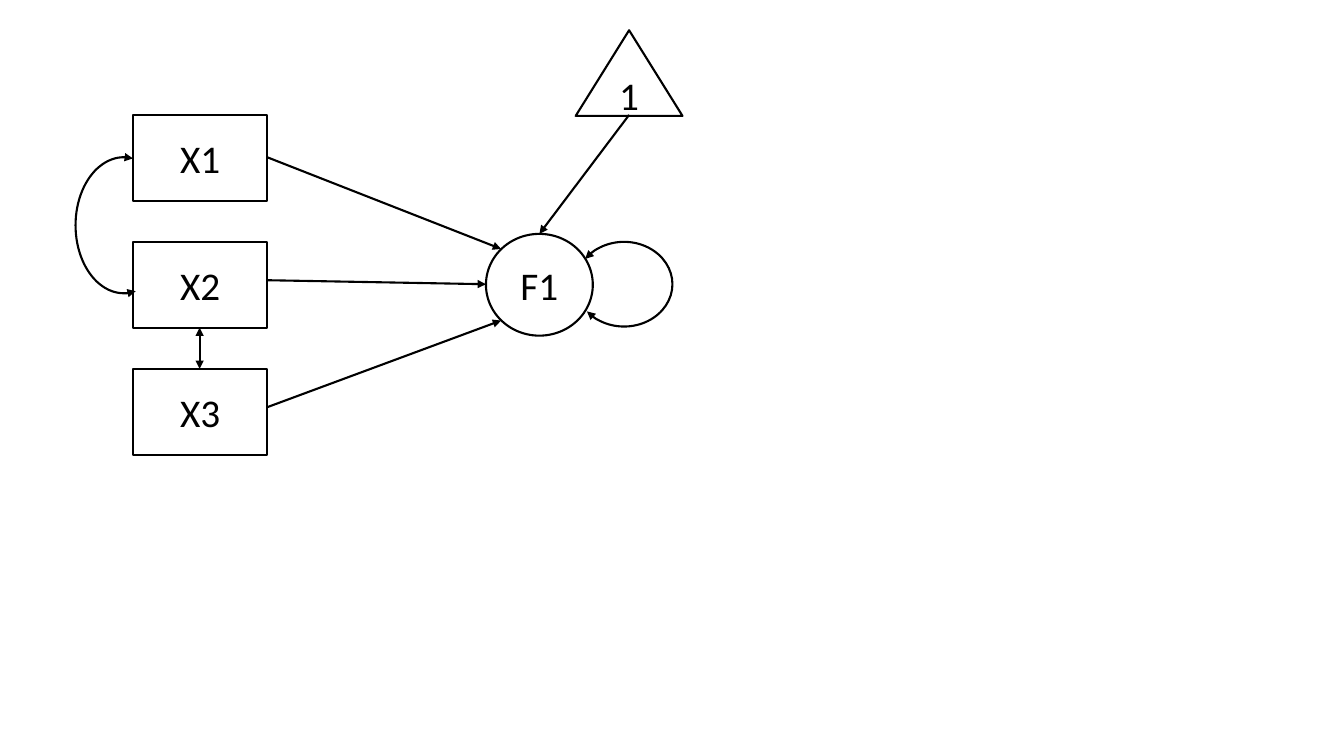
"""Draw a path diagram with three observed variables, one factor and a constant."""
from dataclasses import dataclass

from pptx import Presentation
from pptx.dml.color import RGBColor
from pptx.enum.shapes import MSO_CONNECTOR, MSO_SHAPE as Preset
from pptx.enum.text import MSO_ANCHOR, PP_ALIGN
from pptx.oxml.ns import qn
from pptx.oxml.xmlchemy import OxmlElement
from pptx.shapes.autoshape import Shape
from pptx.shapes.base import BaseShape
from pptx.slide import Slide
from pptx.util import Inches, Pt

BLACK = RGBColor(0, 0, 0)
WHITE = RGBColor(255, 255, 255)
ADJUSTMENT_PER_DEGREE = 0.6


@dataclass(frozen=True)
class Node:
    label: str
    preset: Preset
    left: float
    top: float
    width: float
    height: float


@dataclass(frozen=True)
class Arrow:
    start: tuple[float, float]
    end: tuple[float, float]
    double: bool = False


@dataclass(frozen=True)
class Loop:
    left: float
    top: float
    width: float
    height: float
    start_angle: float
    end_angle: float
    mirrored: bool = False


OBSERVED = [
    Node(f"X{number + 1}", Preset.RECTANGLE, 1.32, 1.14 + 1.26 * number, 1.33, 0.85)
    for number in range(3)
]
FACTOR = Node("F1", Preset.OVAL, 4.82, 2.32, 1.06, 1.01)
CONSTANT = Node("1", Preset.ISOSCELES_TRIANGLE, 5.71, 0.3, 1.06, 0.85)

ARROWS = [
    Arrow((2.65, 1.56), (4.97, 2.47)),
    Arrow((2.65, 2.78), (4.82, 2.82)),
    Arrow((2.65, 4.04), (4.97, 3.18)),
    Arrow((6.24, 1.14), (5.35, 2.32)),
    Arrow((1.98, 3.66), (1.98, 3.25), double=True),
]
LOOPS = [
    Loop(5.71, 2.4, 0.96, 0.84, 213.02, 143.72),
    Loop(0.75, 1.56, 0.96, 1.35, 262.36, 100.14, mirrored=True),
]


def style_line(shape: BaseShape, *arrow_ends: str) -> None:
    """Give a shape a black outline with triangles at the named ends."""
    shape.line.color.rgb = BLACK
    shape.line.width = Pt(1.5)
    outline = shape.element.spPr.find(qn("a:ln"))
    for end in arrow_ends:
        head = OxmlElement(f"a:{end}")
        head.set("type", "triangle")
        outline.append(head)


def add_preset(page: Slide, preset: Preset, item: Node | Loop) -> Shape:
    """Place a preset shape without a shadow."""
    shape = page.shapes.add_shape(
        preset, Inches(item.left), Inches(item.top), Inches(item.width), Inches(item.height)
    )
    shape.shadow.inherit = False
    return shape


def draw_node(page: Slide, node: Node) -> None:
    """Draw a labelled variable."""
    box = add_preset(page, node.preset, node)
    box.fill.solid()
    box.fill.fore_color.rgb = WHITE
    style_line(box)
    frame = box.text_frame
    frame.text = node.label
    frame.vertical_anchor = MSO_ANCHOR.MIDDLE
    para = frame.paragraphs[0]
    para.alignment = PP_ALIGN.CENTER
    font = para.runs[0].font
    font.name = "Calibri"
    font.size = Pt(28)
    font.color.rgb = BLACK


def draw_arrow(page: Slide, arrow: Arrow) -> None:
    """Draw a straight arrow."""
    points = [Inches(value) for value in (*arrow.start, *arrow.end)]
    connector = page.shapes.add_connector(MSO_CONNECTOR.STRAIGHT, *points)
    ends = ("headEnd", "tailEnd") if arrow.double else ("tailEnd",)
    style_line(connector, *ends)
    connector.element.spPr.append(OxmlElement("a:effectLst"))


def draw_loop(page: Slide, loop: Loop) -> None:
    """Draw a curved double-headed arrow."""
    arc = add_preset(page, Preset.ARC, loop)
    arc.adjustments[0] = loop.start_angle * ADJUSTMENT_PER_DEGREE
    arc.adjustments[1] = loop.end_angle * ADJUSTMENT_PER_DEGREE
    arc.fill.background()
    style_line(arc, "headEnd", "tailEnd")
    if loop.mirrored:
        arc.element.spPr.find(qn("a:xfrm")).set("flipH", "1")


def main() -> None:
    """Build and save the deck."""
    deck = Presentation()
    deck.slide_width = Inches(13.33)
    deck.slide_height = Inches(7.5)
    page = deck.slides.add_slide(deck.slide_layouts[6])
    for node in (*OBSERVED, FACTOR, CONSTANT):
        draw_node(page, node)
    for arrow in ARROWS:
        draw_arrow(page, arrow)
    for loop in LOOPS:
        draw_loop(page, loop)
    deck.save("out.pptx")


if __name__ == "__main__":
    main()
